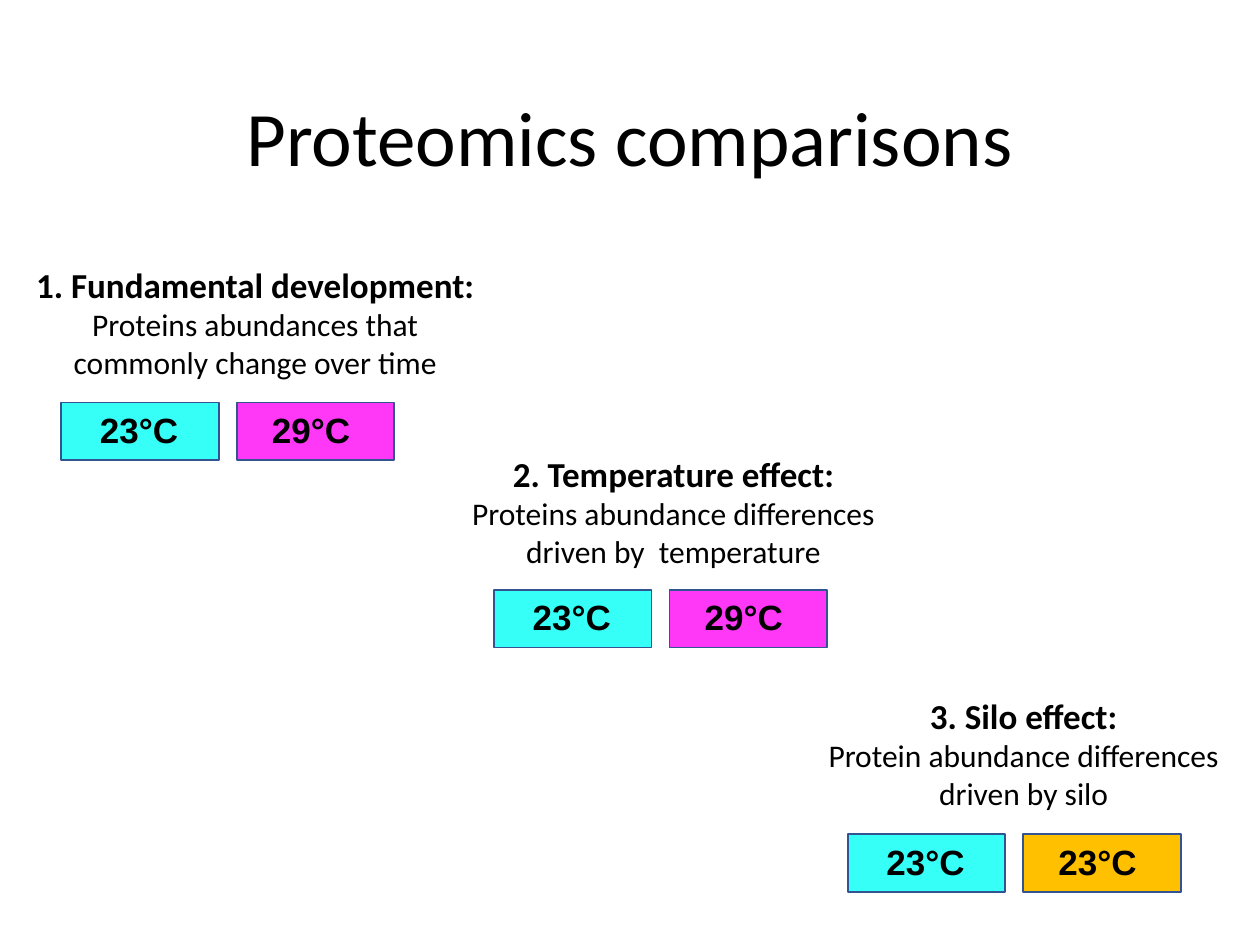
from pptx import Presentation
from pptx.dml.color import RGBColor
from pptx.enum.shapes import MSO_SHAPE as SHAPE
from pptx.enum.text import MSO_ANCHOR as ANCHOR, PP_ALIGN as ALIGN
from pptx.util import Pt


def rgb(value):
    return RGBColor.from_string(value)


def add_text(text, x, y, w, h, sizes=(20,), bolds=(True,), font="Calibri",
             align=ALIGN.CENTER, anchor=ANCHOR.TOP, wrap=True, spacing=None):
    tf = s.shapes.add_textbox(Pt(x), Pt(y), Pt(w), Pt(h)).text_frame
    tf.word_wrap = wrap
    tf.vertical_anchor = anchor
    tf.text = text
    for p, size, bold in zip(tf.paragraphs, sizes, bolds):
        p.alignment = align
        p.line_spacing = spacing
        r = p.runs[0]
        r.font.name = font
        r.font.size = Pt(size)
        r.font.bold = bold
        r.font.color.rgb = rgb("000000")


prs = Presentation()
prs.slide_width, prs.slide_height = Pt(720), Pt(540)
s = prs.slides.add_slide(prs.slide_layouts[6])

add_text("Proteomics comparisons", 49.5, 28.75, 621, 104.4, sizes=(44,),
         bolds=(False,), anchor=ANCHOR.MIDDLE, spacing=0.9)

CYAN, MAGENTA, ORANGE = "36FFF7", "FF38F7", "FFC000"
comparisons = [
    ("1. Fundamental development:",
     "Proteins abundances that commonly change over time",
     (9.4, 146.9, 272.9, 99.4), (35, 230), [("23°C", CYAN), ("29°C", MAGENTA)]),
    ("2. Temperature effect:",
     "Proteins abundance differences driven by  temperature",
     (258.5, 254.9, 252.7, 123.8), (282.3, 337), [("23°C", CYAN), ("29°C", MAGENTA)]),
    ("3. Silo effect:",
     "Protein abundance differences driven by silo",
     (458.6, 393.1, 252.7, 99.4), (484.4, 476.6), [("23°C", CYAN), ("23°C", ORANGE)]),
]

for heading, detail, area, (left, top), samples in comparisons:
    for i, (label, fill) in enumerate(samples):
        x = left + i * 100.3
        sp = s.shapes.add_shape(SHAPE.RECTANGLE, Pt(x), Pt(top), Pt(90), Pt(33))
        sp.shadow.inherit = False
        sp.fill.solid()
        sp.fill.fore_color.rgb = rgb(fill)
        sp.line.color.rgb = rgb("325491")
        sp.line.width = Pt(1)
        add_text(label, x + 15 - 2 * i, top, 60, 31.5, font="Arial",
                 align=ALIGN.LEFT, wrap=False)
    add_text(f"{heading}\n{detail}", *area, sizes=(20, 18), bolds=(True, False))

prs.save("out.pptx")
